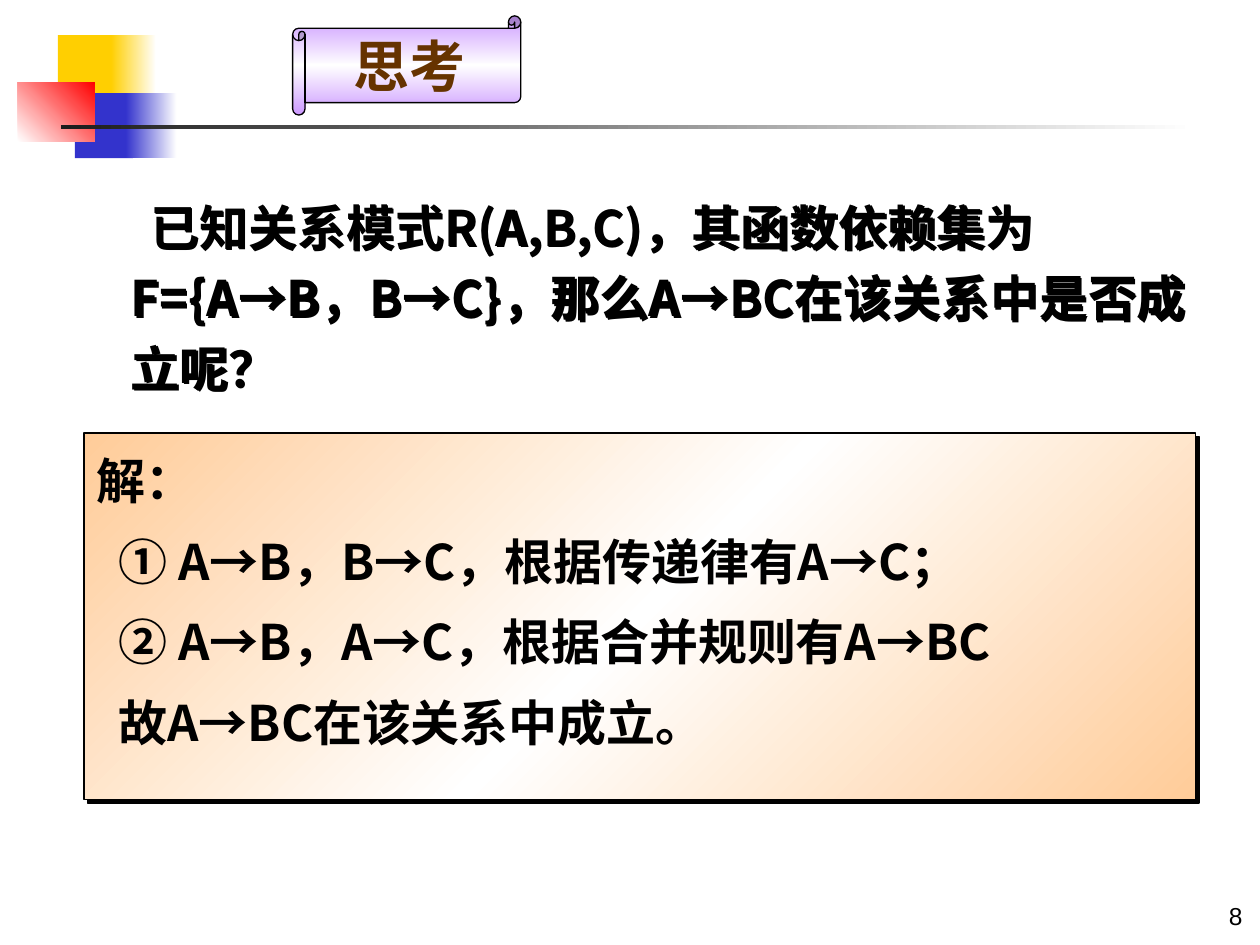
from pptx import Presentation
from pptx.dml.color import RGBColor
from pptx.enum.shapes import MSO_SHAPE
from pptx.enum.text import MSO_ANCHOR, MSO_AUTO_SIZE, PP_ALIGN
from pptx.oxml import parse_xml
from pptx.oxml.ns import nsdecls, qn
from pptx.util import Cm, Pt

RECTANGLE, SCROLL = MSO_SHAPE.RECTANGLE, MSO_SHAPE.HORIZONTAL_SCROLL
LEFT, CENTER, RIGHT = PP_ALIGN.LEFT, PP_ALIGN.CENTER, PP_ALIGN.RIGHT
TOP, MIDDLE = MSO_ANCHOR.TOP, MSO_ANCHOR.MIDDLE
NO_AUTOFIT = MSO_AUTO_SIZE.NONE
CHINESE_FONT = "Noto Sans CJK SC"
TITLE_AND_CONTENT = 1

QUESTION = "已知关系模式R(A,B,C)，其函数依赖集为F={A→B，B→C}，那么A→BC在该关系中是否成立呢？"
SOLUTION = [
    "解：",
    "① A→B，B→C，根据传递律有A→C；",
    "② A→B，A→C，根据合并规则有A→BC",
    "故A→BC在该关系中成立。",
]
DECORATIONS = [
    ((1.17, 0.71, 1.22, 1.32), ["FFCF01"], 0),
    ((2.24, 0.71, 0.91, 1.32), ["FFCF01", "FFFFFF"], 0),
    ((1.51, 1.88, 1.17, 1.31), ["3333CC"], 0),
    ((2.54, 1.88, 1.02, 1.31), ["3333CC", "FFFFFF"], 0),
    ((0.36, 1.66, 1.55, 1.19), ["FFFFFF", "FF0000"], 315),
    ((1.23, 2.52, 22.86, 0.08), ["1C1C1C", "FFFFFF"], 0),
]


def color(value):
    """Turn a hex string into a colour."""
    return RGBColor.from_string(value)


def set_fill(shape, colors, angle):
    """Fill a shape with one colour or with evenly spaced gradient stops."""
    if len(colors) == 1:
        shape.fill.solid()
        shape.fill.fore_color.rgb = color(colors[0])
        return
    shape.fill.gradient()
    step = 100000 // (len(colors) - 1)
    stops = "".join(
        f'<a:gs pos="{index * step}"><a:srgbClr val="{value}"/></a:gs>'
        for index, value in enumerate(colors)
    )
    properties = shape._element.spPr
    properties.replace(properties.find(qn("a:gradFill")), parse_xml(
        f'<a:gradFill {nsdecls("a")} rotWithShape="1"><a:gsLst>{stops}</a:gsLst>'
        f'<a:lin ang="{angle * 60000}" scaled="0"/></a:gradFill>'
    ))


def set_shadow(shape, distance):
    """Give a shape a hard black shadow to the lower right."""
    shape.shadow.inherit = False
    shape._element.spPr.find(qn("a:effectLst")).append(parse_xml(
        f'<a:outerShdw {nsdecls("a")} dist="{Pt(distance)}" dir="2700000" algn="ctr" '
        'rotWithShape="0"><a:srgbClr val="000000"/></a:outerShdw>'
    ))


def add_filled_shape(slide, kind, box, colors, angle, line_width=None):
    """Add a filled shape with an optional black outline."""
    shape = slide.shapes.add_shape(kind, *map(Cm, box))
    shape.shadow.inherit = False
    set_fill(shape, colors, angle)
    if line_width is None:
        shape.line.fill.background()
    else:
        shape.line.color.rgb = color("000000")
        shape.line.width = Pt(line_width)
    return shape


def set_frame(shape, anchor=TOP, wrap=True):
    """Set the anchor and wrapping of a text frame and return it."""
    frame = shape.text_frame
    frame.auto_size = NO_AUTOFIT
    frame.word_wrap = wrap
    frame.vertical_anchor = anchor
    return frame


def write(paragraph, text, size, font=CHINESE_FONT, value="000000", bold=True,
          align=LEFT, margin=0, indent=0, before=0, spacing=1.0):
    """Write one formatted run into a paragraph without a bullet."""
    properties = paragraph._p.get_or_add_pPr()
    properties.set("marL", str(Cm(margin)))
    properties.set("indent", str(Cm(indent)))
    properties.append(parse_xml(f'<a:buNone {nsdecls("a")}/>'))
    paragraph.alignment = align
    paragraph.line_spacing = spacing
    paragraph.space_before = Pt(before)
    run = paragraph.add_run()
    run.text = text
    run.font.size = Pt(size)
    run.font.bold = bold
    run.font.color.rgb = color(value)
    run.font.name = font
    run._r.rPr.append(parse_xml(f'<a:ea {nsdecls("a")} typeface="{CHINESE_FONT}"/>'))


def add_question(slide):
    """Place the question in the body placeholder."""
    body = slide.placeholders[1]
    body.left, body.top, body.width, body.height = map(Cm, (1.42, 3.61, 22.89, 13.77))
    set_shadow(body, 1.2)
    write(set_frame(body).paragraphs[0], QUESTION, 28, margin=0.96, indent=0.4,
          spacing=1.2)


def add_heading(slide):
    """Add the scroll that carries the heading."""
    scroll = add_filled_shape(slide, SCROLL, (5.9, 0.32, 4.6, 2.0),
                              ["CC99FF", "FFFFFF", "CC99FF"], 90, 0.75)
    frame = set_frame(scroll, MIDDLE, False)
    frame.margin_left = frame.margin_right = 0
    write(frame.paragraphs[0], "思考", 32, "Arial", "663300", align=CENTER)


def add_solution(slide):
    """Add the box with the steps of the solution."""
    panel = add_filled_shape(slide, RECTANGLE, (1.7, 8.73, 22.4, 7.39),
                             ["FFCC99", "FFFFFF", "FFCC99"], 45, 1)
    set_shadow(panel, 2.8)
    frame = set_frame(panel)
    for index, text in enumerate(SOLUTION):
        paragraph = frame.add_paragraph() if index else frame.paragraphs[0]
        write(paragraph, text, 28, margin=0.44 if index else 0,
              before=5.6 if index else 0, spacing=1.2)


def add_page_number(slide):
    """Add the page number at the lower right."""
    number = slide.shapes.add_textbox(*map(Cm, (19.38, 18.03, 5.92, 0.89)))
    write(set_frame(number).paragraphs[0], "8", 14, "Arial", bold=False, align=RIGHT)


def main():
    """Build the slide and save it."""
    presentation = Presentation()
    presentation.slide_width, presentation.slide_height = Cm(25.4), Cm(19.05)
    slide = presentation.slides.add_slide(presentation.slide_layouts[TITLE_AND_CONTENT])
    title = slide.shapes.title._element
    title.getparent().remove(title)
    for box, colors, angle in DECORATIONS:
        add_filled_shape(slide, RECTANGLE, box, colors, angle)
    add_page_number(slide)
    add_question(slide)
    add_heading(slide)
    add_solution(slide)
    presentation.save("out.pptx")


if __name__ == "__main__":
    main()
